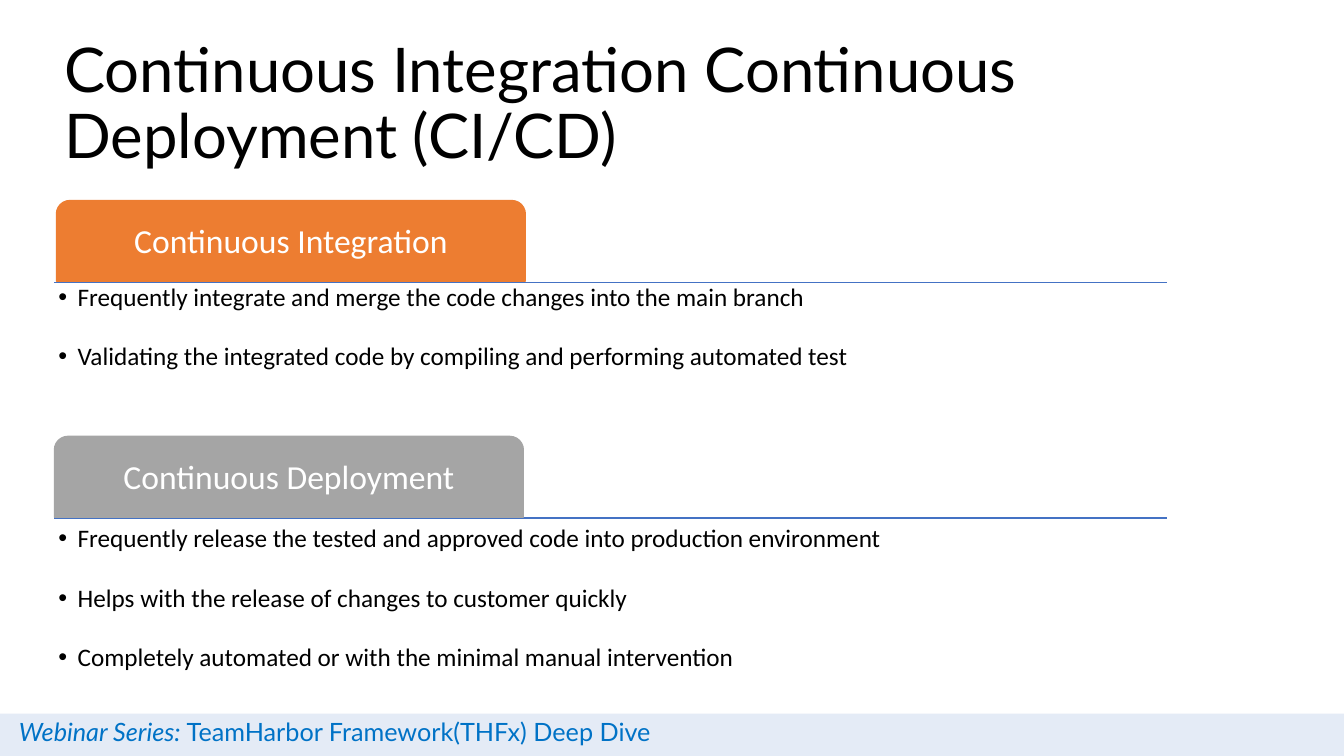
"""Build the slide on continuous integration and continuous deployment."""
from lxml import etree
from pptx import Presentation
from pptx.dml.color import RGBColor
from pptx.enum.shapes import MSO_CONNECTOR, MSO_SHAPE
from pptx.enum.text import MSO_ANCHOR, PP_ALIGN
from pptx.oxml.ns import qn
from pptx.util import Inches, Pt

ORANGE = RGBColor(0xED, 0x7D, 0x31)
GRAY = RGBColor(0xA5, 0xA5, 0xA5)
BLUE = RGBColor(0x44, 0x72, 0xC4)
FOOTER_BLUE = RGBColor(0x00, 0x72, 0xC6)
WHITE = RGBColor(0xFF, 0xFF, 0xFF)
BLACK = RGBColor(0x00, 0x00, 0x00)
RECTANGLE = MSO_SHAPE.RECTANGLE
TAB = MSO_SHAPE.ROUND_2_SAME_RECTANGLE
STRAIGHT = MSO_CONNECTOR.STRAIGHT
TOP, MIDDLE = MSO_ANCHOR.TOP, MSO_ANCHOR.MIDDLE
CENTER = PP_ALIGN.CENTER

TITLE = "Continuous Integration Continuous Deployment (CI/CD)"
FOOTER = [("Webinar Series: ", True), ("TeamHarbor Framework(THFx) Deep Dive", False)]
SECTIONS = [
    {
        "heading": "Continuous Integration", "color": ORANGE,
        "tab_left": 0.56, "rule": 2.8, "list_top": 2.78,
        "points": [
            "Frequently integrate and merge the code changes into the main branch",
            "Validating the integrated code by compiling and performing automated test",
        ],
    },
    {
        "heading": "Continuous Deployment", "color": GRAY,
        "tab_left": 0.54, "rule": 5.14, "list_top": 5.18,
        "points": [
            "Frequently release the tested and approved code into production environment",
            "Helps with the release of changes to customer quickly",
            "Completely automated or with the minimal manual intervention",
        ],
    },
]
WIDTH, HEIGHT = 13.33, 7.5
LEFT, LIST_WIDTH, LIST_HEIGHT = 0.54, 11.03, 1.57
TAB_WIDTH, TAB_HEIGHT = 4.65, 0.8
FOOTER_HEIGHT = 0.42
BULLET_INDENT = 0.19


def style(span, size, font, color):
    span.font.size = Pt(size)
    span.font.name = font
    span.font.color.rgb = color


def set_frame(shape, anchor, inset_x, inset_y):
    frame = shape.text_frame
    frame.word_wrap = True
    frame.vertical_anchor = anchor
    frame.margin_left = frame.margin_right = Inches(inset_x)
    frame.margin_top = frame.margin_bottom = Inches(inset_y)
    return frame


def add_text_box(page, left, top, width, height, anchor=TOP, inset_x=0.1, inset_y=0.05):
    box = page.shapes.add_textbox(*map(Inches, (left, top, width, height)))
    return set_frame(box, anchor, inset_x, inset_y)


def add_filled(page, kind, left, top, width, height, color):
    shape = page.shapes.add_shape(kind, *map(Inches, (left, top, width, height)))
    shape.shadow.inherit = False
    shape.fill.solid()
    shape.fill.fore_color.rgb = color
    return shape


def add_bullet(para):
    properties = para._p.get_or_add_pPr()
    properties.set("marL", str(Inches(BULLET_INDENT)))
    properties.set("indent", str(-Inches(BULLET_INDENT)))
    etree.SubElement(properties, qn("a:buFont")).set("typeface", "Arial")
    etree.SubElement(properties, qn("a:buChar")).set("char", "•")


def add_footer(page):
    top = HEIGHT - FOOTER_HEIGHT
    band = add_filled(page, RECTANGLE, 0, top, WIDTH, FOOTER_HEIGHT, BLUE)
    band.line.fill.background()
    color = band.fill._xPr.find(qn("a:solidFill"))[0]
    etree.SubElement(color, qn("a:alpha")).set("val", "14000")
    para = add_text_box(page, 0.09, top - 0.02, 7.14, 0.4).paragraphs[0]
    for text, italic in FOOTER:
        span = para.add_run()
        span.text = text
        span.font.italic = italic
        style(span, 18, "Lato", FOOTER_BLUE)


def add_section(page, section):
    rule = section["rule"]
    line = page.shapes.add_connector(
        STRAIGHT, *map(Inches, (LEFT, rule, LEFT + LIST_WIDTH, rule)))
    line.line.color.rgb = BLUE
    line.line.width = Pt(1)
    etree.SubElement(line._element.spPr, qn("a:effectLst"))

    tab = add_filled(page, TAB, section["tab_left"], rule - TAB_HEIGHT - 0.01,
                     TAB_WIDTH, TAB_HEIGHT, section["color"])
    tab.line.color.rgb = section["color"]
    tab.line.width = Pt(1)
    para = set_frame(tab, MIDDLE, 0.05, 0.05).paragraphs[0]
    para.text = section["heading"]
    para.alignment = CENTER
    para.line_spacing = 0.9
    style(para.runs[0], 24, "Calibri", WHITE)

    frame = add_text_box(page, LEFT, section["list_top"], LIST_WIDTH, LIST_HEIGHT,
                         inset_x=0.04, inset_y=0.04)
    frame.text = "\n".join(section["points"])
    for para in frame.paragraphs:
        para.line_spacing = 0.9
        para.space_after = Pt(23)
        add_bullet(para)
        style(para.runs[0], 18, "Calibri", BLACK)


def main():
    deck = Presentation()
    deck.slide_width, deck.slide_height = Inches(WIDTH), Inches(HEIGHT)
    page = deck.slides.add_slide(deck.slide_layouts[6])
    add_footer(page)
    for section in SECTIONS:
        add_section(page, section)
    para = add_text_box(page, LEFT, 0.32, 11.5, 1.45, MIDDLE).paragraphs[0]
    para.text = TITLE
    para.line_spacing = 0.9
    style(para.runs[0], 44, "Lato", BLACK)
    deck.save("out.pptx")


if __name__ == "__main__":
    main()
